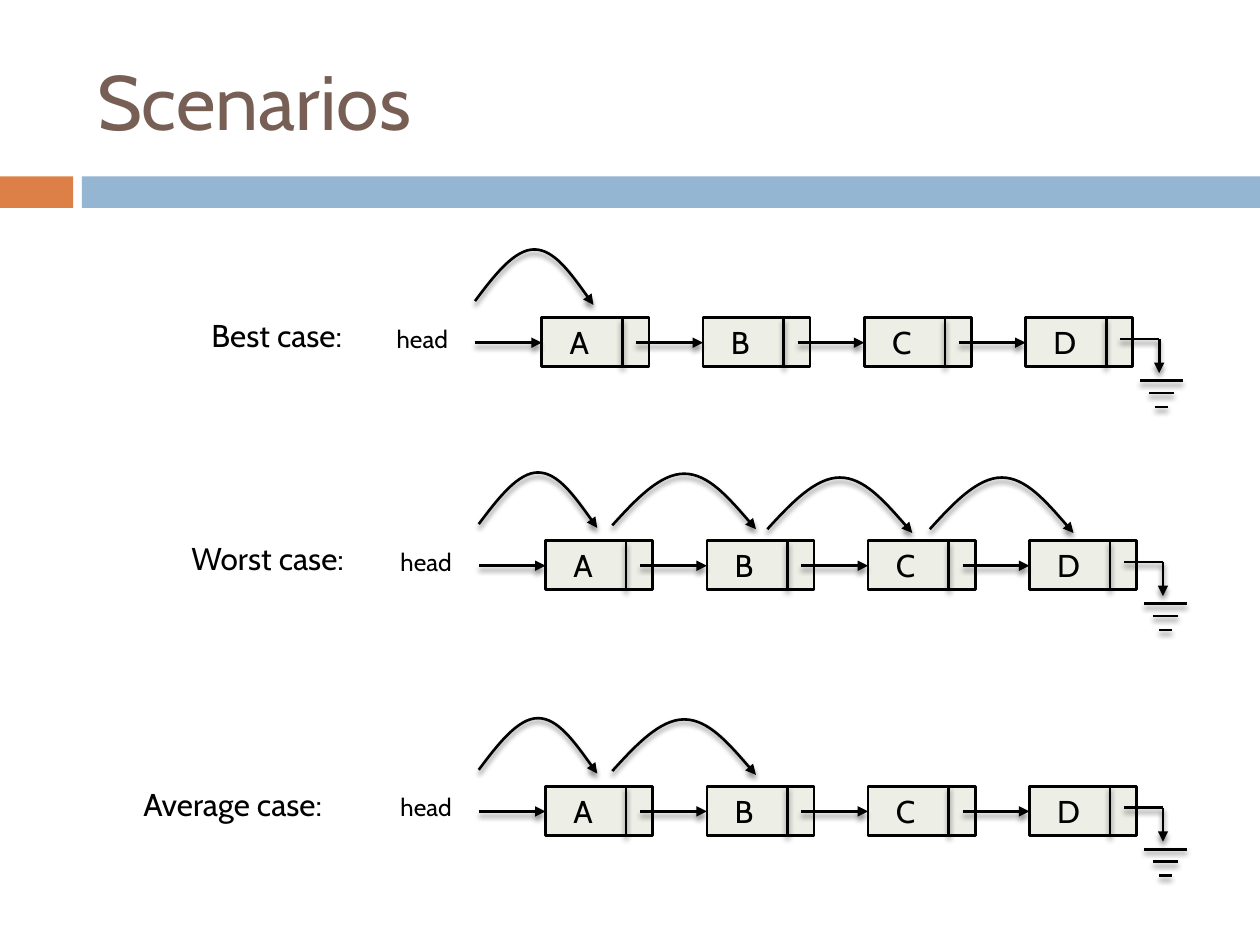
from dataclasses import dataclass

from lxml import etree
from pptx import Presentation, util as u
from pptx.dml.color import RGBColor
from pptx.enum import shapes as kinds, text as txt
from pptx.oxml import parse_xml
from pptx.oxml.ns import nsdecls, qn


@dataclass
class Theme:
    font: str = "Cabin"
    ink: str = "000000"
    title: str = "775F55"
    warm: str = "DD8047"
    cool: str = "94B6D2"
    node: str = "EDEEE6"
    large: int = 44
    body: int = 18
    small: int = 14
    line: float = 1.5


theme = Theme()
SHADE = (f'<a:effectLst {nsdecls("a")}><a:outerShdw blurRad="38100" dist="30480" '
         f'dir="5400000" rotWithShape="0"><a:srgbClr val="{theme.ink}">'
         '<a:alpha val="45000"/></a:srgbClr></a:outerShdw></a:effectLst>')


def write(shape, words, size, color=theme.ink):
    """Put one left-aligned paragraph into a shape."""
    shape.text_frame.text = words
    para = shape.text_frame.paragraphs[0]
    para.alignment = txt.PP_ALIGN.LEFT
    para.font.name = theme.font
    para.font.size = u.Pt(size)
    para.font.color.rgb = RGBColor.from_string(color)


def stroke(shape, arrow):
    """Give a line its colour, width, shadow and, if asked, an arrowhead."""
    shape.line.color.rgb = RGBColor.from_string(theme.ink)
    shape.line.width = u.Pt(theme.line)
    props = shape._element.spPr
    if arrow:
        etree.SubElement(props.find(qn("a:ln")), qn("a:tailEnd"), type="triangle")
    props.append(parse_xml(SHADE))


deck = Presentation()
deck.slide_width, deck.slide_height = u.Inches(10), u.Inches(7.5)
slide = deck.slides.add_slide(deck.slide_layouts[5])

# Title and the band below it
title = slide.shapes.title
title.left, title.top = u.Inches(0.67), u.Inches(0.25)
title.width, title.height = u.Inches(8.92), u.Inches(1.08)
title.text_frame.vertical_anchor = txt.MSO_ANCHOR.MIDDLE
write(title, "Scenarios", theme.large, theme.title)
for left, width, color in ((0, 0.58, theme.warm), (0.65, 9.35, theme.cool)):
    band = slide.shapes.add_shape(kinds.MSO_SHAPE.RECTANGLE, u.Inches(left),
                                  u.Inches(1.4), u.Inches(width), u.Inches(0.25))
    band.shadow.inherit = False
    band.fill.solid()
    band.fill.fore_color.rgb = RGBColor.from_string(color)
    band.line.fill.background()

# Parts of one list, measured from the corner of its first node
NODES = "ABCD"
STEP, WIDE, HIGH = 1.28, 0.85, 0.39
lines = [(i * STEP + 0.64, 0, i * STEP + 0.64, HIGH, False) for i in range(4)]
lines += [(i * STEP - 0.53, 0.2, i * STEP, 0.2, True) for i in range(4)]
lines += [(4.59, 0.17, 4.9, 0.17, False), (4.9, 0.17, 4.9, 0.44, True)]
lines += [(4.92 - half, y, 4.92 + half, y, False)
          for half, y in ((0.17, 0.5), (0.1, 0.6), (0.05, 0.71))]

# Hops as start, end and top; the curve's points sit at even steps across
HOPS = [(-0.53, 0.41, -0.54), (0.53, 1.67, -0.53),
        (1.76, 2.91, -0.5), (3.05, 4.19, -0.5)]
DROPS = (0.41, 0.2, 0, 0, 0, 0.22, 0.44)

# Case, its label's left, corner of the first node, number of hops
CASES = [("Best case:", 1.58, 1.43, 4.3, 2.52, 1),
         ("Worst case:", 1.42, 1.61, 4.33, 4.29, 4),
         ("Average case:", 1.04, 2.01, 4.33, 6.24, 2)]

for case, side, span, left, top, count in CASES:
    group = slide.shapes.add_group_shape().shapes

    # Nodes
    for i, name in enumerate(NODES):
        node = group.add_shape(kinds.MSO_SHAPE.RECTANGLE, u.Inches(left + i * STEP),
                               u.Inches(top), u.Inches(WIDE), u.Inches(HIGH))
        node.shadow.inherit = False
        node.fill.solid()
        node.fill.fore_color.rgb = RGBColor.from_string(theme.node)
        node.line.color.rgb = RGBColor.from_string(theme.ink)
        node.line.width = u.Pt(theme.line)
        node.text_frame.margin_left = u.Inches(0.22)
        node.text_frame.vertical_anchor = txt.MSO_ANCHOR.MIDDLE
        write(node, name, theme.body)

    # Dividers, links and the ground sign
    for x1, y1, x2, y2, arrow in lines:
        link = group.add_connector(kinds.MSO_CONNECTOR.STRAIGHT,
                                   u.Inches(left + x1), u.Inches(top + y1),
                                   u.Inches(left + x2), u.Inches(top + y2))
        stroke(link, arrow)

    # Case and head labels
    for words, x, y, width, high, size in (
            (case, side, top - 0.06, span, 0.4, theme.body),
            ("head", left - 1.25, top, 0.62, 0.34, theme.small)):
        label = group.add_textbox(u.Inches(x), u.Inches(y),
                                  u.Inches(width), u.Inches(high))
        label.text_frame.word_wrap = False
        label.text_frame.auto_size = txt.MSO_AUTO_SIZE.SHAPE_TO_FIT_TEXT
        write(label, words, size)

    # Hops: each three straight pieces become one cubic curve
    for start, end, peak in HOPS[:count]:
        dots = [(u.Inches(left + start + (end - start) * k / 6),
                 u.Inches(top + peak + drop)) for k, drop in enumerate(DROPS)]
        pen = group.build_freeform(*dots[0])
        pen.add_line_segments(dots[1:], close=False)
        hop = pen.convert_to_shape()
        hop.fill.background()
        route = hop._element.xpath(".//a:path")[0]
        pieces = route.findall(qn("a:lnTo"))
        for k in (0, 3):
            curve = etree.SubElement(route, qn("a:cubicBezTo"))
            for piece in pieces[k:k + 3]:
                curve.append(piece[0])
                route.remove(piece)
        stroke(hop, True)

deck.save("out.pptx")
